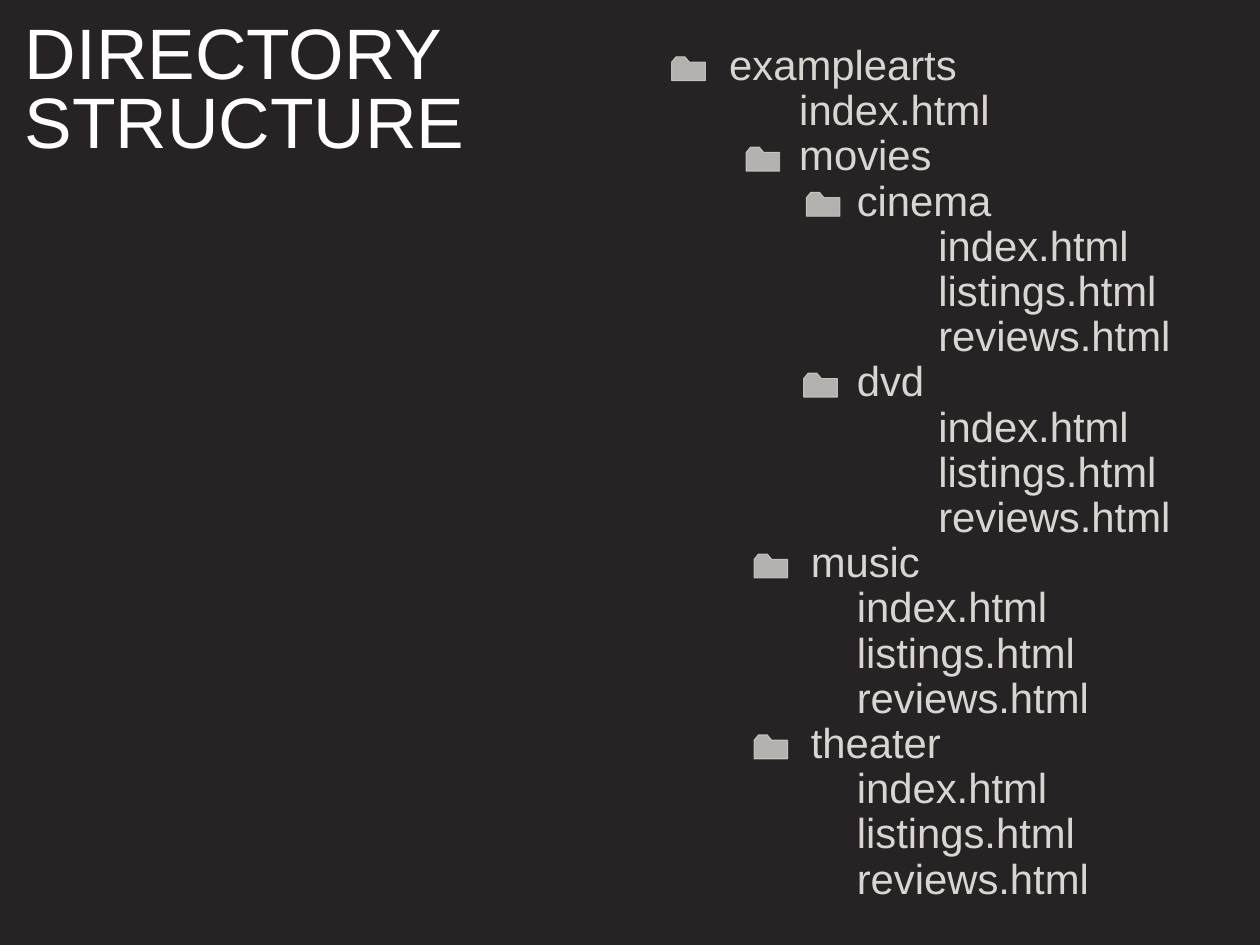
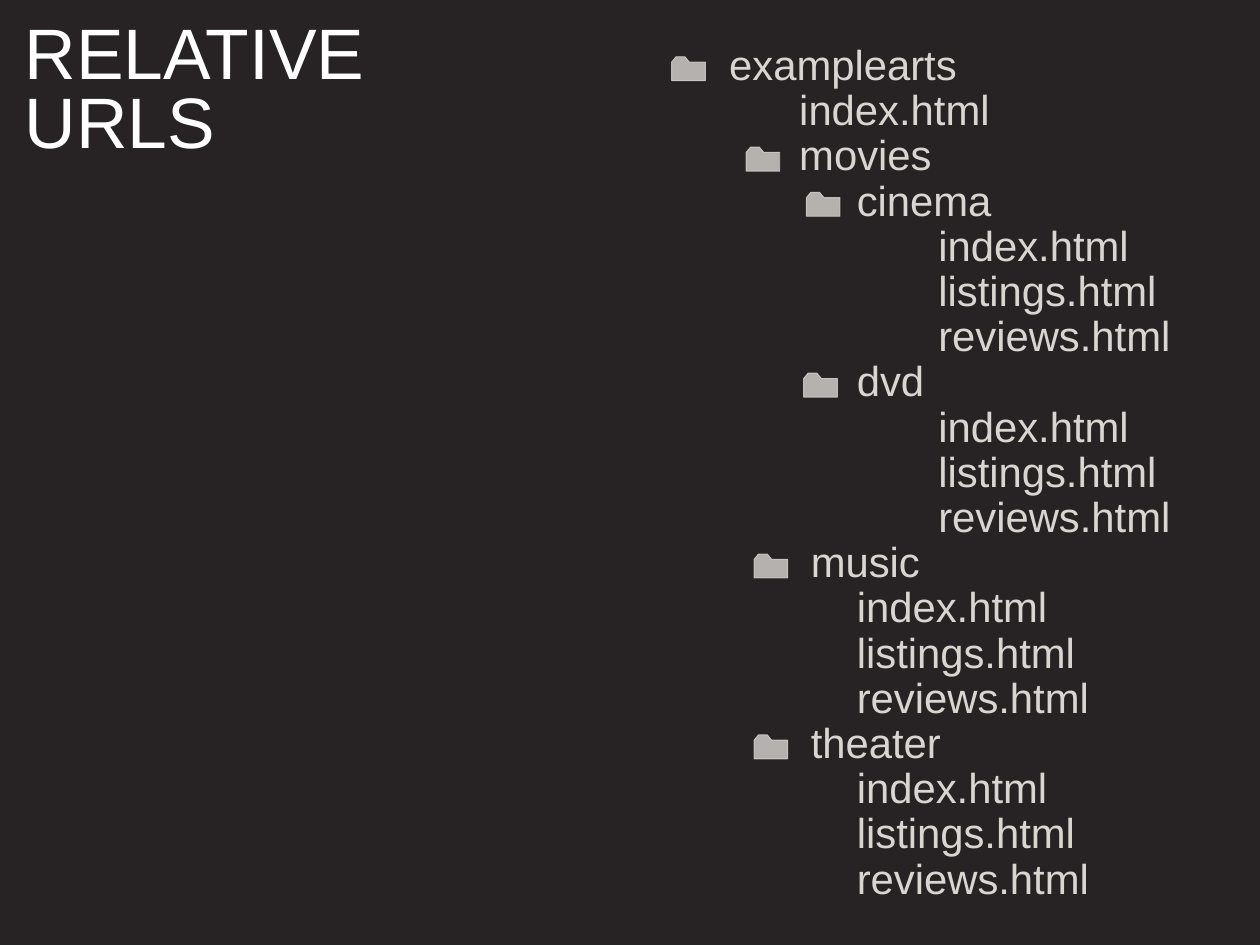
from dataclasses import dataclass
from typing import Optional

from lxml.etree import SubElement
from pptx import Presentation
from pptx.dml.color import RGBColor
from pptx.enum.text import MSO_ANCHOR, MSO_AUTO_SIZE, PP_ALIGN
from pptx.oxml.ns import qn
from pptx.util import Inches, Pt

BACKGROUND = RGBColor(0x27, 0x22, 0x24)
WHITE = RGBColor(0xFF, 0xFF, 0xFF)
SAND = RGBColor(0xD9, 0xD5, 0xD1)
FONT = "Arial"

TREE_TOP = 0.5
ROW_HEIGHT = 0.51
FOLDER_DROP = 0.14
FOLDER_OUTLINE = (
    (0.38, 0.27), (0.38, 0.06), (0.2, 0.06), (0.15, 0),
    (0.05, 0), (0, 0.06), (0, 0.27),
)


@dataclass(frozen=True)
class TextStyle:
    size: float
    color: RGBColor
    line_spacing: float


@dataclass(frozen=True)
class Box:
    left: float
    top: float
    width: float
    height: float


@dataclass(frozen=True)
class Entry:
    name: str
    indent: float = 0
    folder_left: Optional[float] = None


TITLE_STYLE = TextStyle(58, WHITE, 0.8)
TREE_STYLE = TextStyle(34, SAND, 0.9)
TITLE_BOX = Box(0.28, 0.28, 5.11, 1.97)
TREE_BOX = Box(8.23, TREE_TOP, 5.1, 9.69)


def files(indent: float) -> list[Entry]:
    names = ("index.html", "listings.html", "reviews.html")
    return [Entry(name, indent) for name in names]


TREE = [
    Entry("examplearts", 0, 7.58),
    Entry("index.html", 0.79),
    Entry("movies", 0.79, 8.42),
    Entry("cinema", 1.44, 9.1),
    *files(2.36),
    Entry("dvd", 1.44, 9.07),
    *files(2.36),
    Entry("music", 0.92, 8.51),
    *files(1.44),
    Entry("theater", 0.92, 8.51),
    *files(1.44),
]
TITLES = (("DIRECTORY", "STRUCTURE"), ("RELATIVE URLS",))


def fill_placeholder(shape, box: Box, entries: list[Entry], style: TextStyle) -> None:
    shape.left, shape.top = Inches(box.left), Inches(box.top)
    shape.width, shape.height = Inches(box.width), Inches(box.height)
    frame = shape.text_frame
    frame.word_wrap = True
    frame.auto_size = MSO_AUTO_SIZE.NONE
    frame.vertical_anchor = MSO_ANCHOR.TOP
    frame.margin_left = frame.margin_right = 0
    frame.margin_top = frame.margin_bottom = 0
    for index, entry in enumerate(entries):
        paragraph = frame.add_paragraph() if index else frame.paragraphs[0]
        paragraph.alignment = PP_ALIGN.LEFT
        paragraph.line_spacing = style.line_spacing
        paragraph.space_before = paragraph.space_after = Pt(0)
        properties = paragraph._p.get_or_add_pPr()
        properties.set("marL", str(Inches(entry.indent)))
        properties.set("indent", "0")
        SubElement(properties, qn("a:buNone"))
        run = paragraph.add_run()
        run.text = entry.name
        run.font.name = FONT
        run.font.size = Pt(style.size)
        run.font.color.rgb = style.color


def add_folder(slide, left: float, top: float) -> None:
    points = [(Inches(left + x), Inches(top + y)) for x, y in FOLDER_OUTLINE]
    builder = slide.shapes.build_freeform(*points[0])
    builder.add_line_segments(points[1:], close=True)
    shape = builder.convert_to_shape()
    shape.shadow.inherit = False
    shape.fill.solid()
    shape.fill.fore_color.rgb = SAND
    shape.line.color.rgb = SAND
    shape.line.width = Pt(0)
    for color in shape._element.spPr.iter(qn("a:srgbClr")):
        SubElement(color, qn("a:alpha")).set("val", "80000")


def add_tree_slide(presentation, title_lines: tuple[str, ...]) -> None:
    slide = presentation.slides.add_slide(presentation.slide_layouts[1])
    title_entries = [Entry(line) for line in title_lines]
    fill_placeholder(slide.shapes.title, TITLE_BOX, title_entries, TITLE_STYLE)
    fill_placeholder(slide.placeholders[1], TREE_BOX, TREE, TREE_STYLE)
    for row, entry in enumerate(TREE):
        if entry.folder_left is not None:
            add_folder(slide, entry.folder_left, TREE_TOP + FOLDER_DROP + row * ROW_HEIGHT)


def main() -> None:
    presentation = Presentation()
    presentation.slide_width = Inches(14.22)
    presentation.slide_height = Inches(10.66)
    background = presentation.slide_master.background.fill
    background.solid()
    background.fore_color.rgb = BACKGROUND
    for title_lines in TITLES:
        add_tree_slide(presentation, title_lines)
    presentation.save("out.pptx")


if __name__ == "__main__":
    main()
